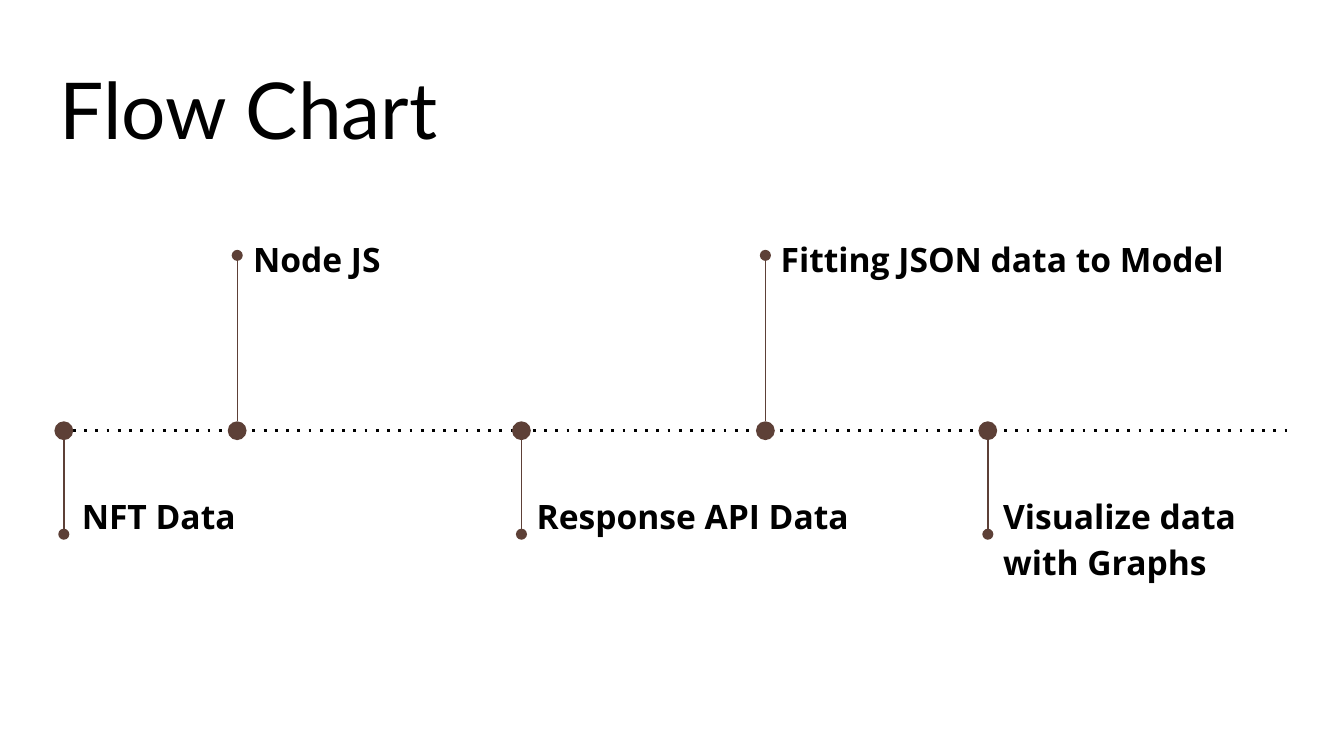
from lxml import etree
from pptx import Presentation
from pptx.dml.color import RGBColor
from pptx.enum.shapes import MSO_CONNECTOR, MSO_SHAPE
from pptx.enum.text import MSO_ANCHOR
from pptx.oxml.ns import qn
from pptx.util import Pt

PX = 4572  # EMU per px, 200 px to the inch
BLACK = RGBColor(0x00, 0x00, 0x00)
BROWN = RGBColor(0x5D, 0x40, 0x37)
STRAIGHT = MSO_CONNECTOR.STRAIGHT
OVAL = MSO_SHAPE.OVAL
TOP, BOTTOM = MSO_ANCHOR.TOP, MSO_ANCHOR.BOTTOM

AXIS_Y = 641
RADIUS = 14
# Stem end, label top and label height on each side of the axis
ABOVE = (380, 327, 240)
BELOW = (795, 709, 264)
# Centre x, side, label left, label width, label
STEPS = [
    (95, BELOW, 102, 476, "NFT Data"),
    (353, ABOVE, 357, 476, "Node JS"),
    (776, BELOW, 779, 518, "Response API Data"),
    (1139, ABOVE, 1142, 736, "Fitting JSON data to Model"),
    (1470, BELOW, 1473, 476, "Visualize data with Graphs"),
]


class Timeline:
    """Draws the elements of a timeline slide, with lengths in px."""

    title_font, label_font = "Lato", "Open Sans"
    inset = 20

    def __init__(self, prs):
        self.s = prs.slides.add_slide(prs.slide_layouts[6])

    def text(self, x, y, w, h, text, font, size,
             bold=False, anchor=TOP, spacing=1.0):
        sp = self.s.shapes.add_textbox(x * PX, y * PX, w * PX, h * PX)
        tf = sp.text_frame
        tf.word_wrap = True
        tf.vertical_anchor = anchor
        tf.margin_left = tf.margin_right = self.inset * PX
        tf.margin_top = tf.margin_bottom = self.inset * PX
        tf.text = text
        p = tf.paragraphs[0]
        p.line_spacing = spacing
        r = p.runs[0]
        r.font.name = font
        r.font.size = Pt(size)
        r.font.bold = bold
        r.font.color.rgb = BLACK

    def line(self, x1, y1, x2, y2, color, width, dash=None, tail=None):
        c = self.s.shapes.add_connector(
            STRAIGHT, x1 * PX, y1 * PX, x2 * PX, y2 * PX)
        c.line.color.rgb = color
        c.line.width = Pt(width)
        sp_pr = c._element.spPr
        ln = sp_pr.find(qn("a:ln"))
        if dash:
            etree.SubElement(ln, qn("a:prstDash")).set("val", dash)
        if tail:
            etree.SubElement(ln, qn("a:tailEnd")).set("type", tail)
        etree.SubElement(sp_pr, qn("a:effectLst"))

    def dot(self, x, y):
        """Draw a round marker centred on x, y."""
        sp = self.s.shapes.add_shape(
            OVAL, (x - RADIUS) * PX, (y - RADIUS) * PX,
            2 * RADIUS * PX, 2 * RADIUS * PX)
        sp.shadow.inherit = False
        sp.fill.solid()
        sp.fill.fore_color.rgb = BROWN
        sp.line.fill.background()

    def step(self, x, side, left, width, label):
        """Draw a marker on the axis with its stem and label."""
        end, top, height = side
        start = AXIS_Y + (RADIUS if end > AXIS_Y else -RADIUS)
        self.dot(x, AXIS_Y)
        self.line(x, start, x, end, BROWN, 0.75, tail="oval")
        self.text(left, top, width, height, label,
                  self.label_font, 18, bold=True, spacing=1.15)


def main():
    prs = Presentation()
    prs.slide_width, prs.slide_height = 2000 * PX, 1125 * PX
    timeline = Timeline(prs)
    timeline.line(92, AXIS_Y, 1916, AXIS_Y, BLACK, 1.5, dash="dot")
    timeline.text(69, 70, 1864, 181, "Flow Chart",
                  timeline.title_font, 42, anchor=BOTTOM)
    for step in STEPS:
        timeline.step(*step)
    prs.save("out.pptx")


if __name__ == "__main__":
    main()
